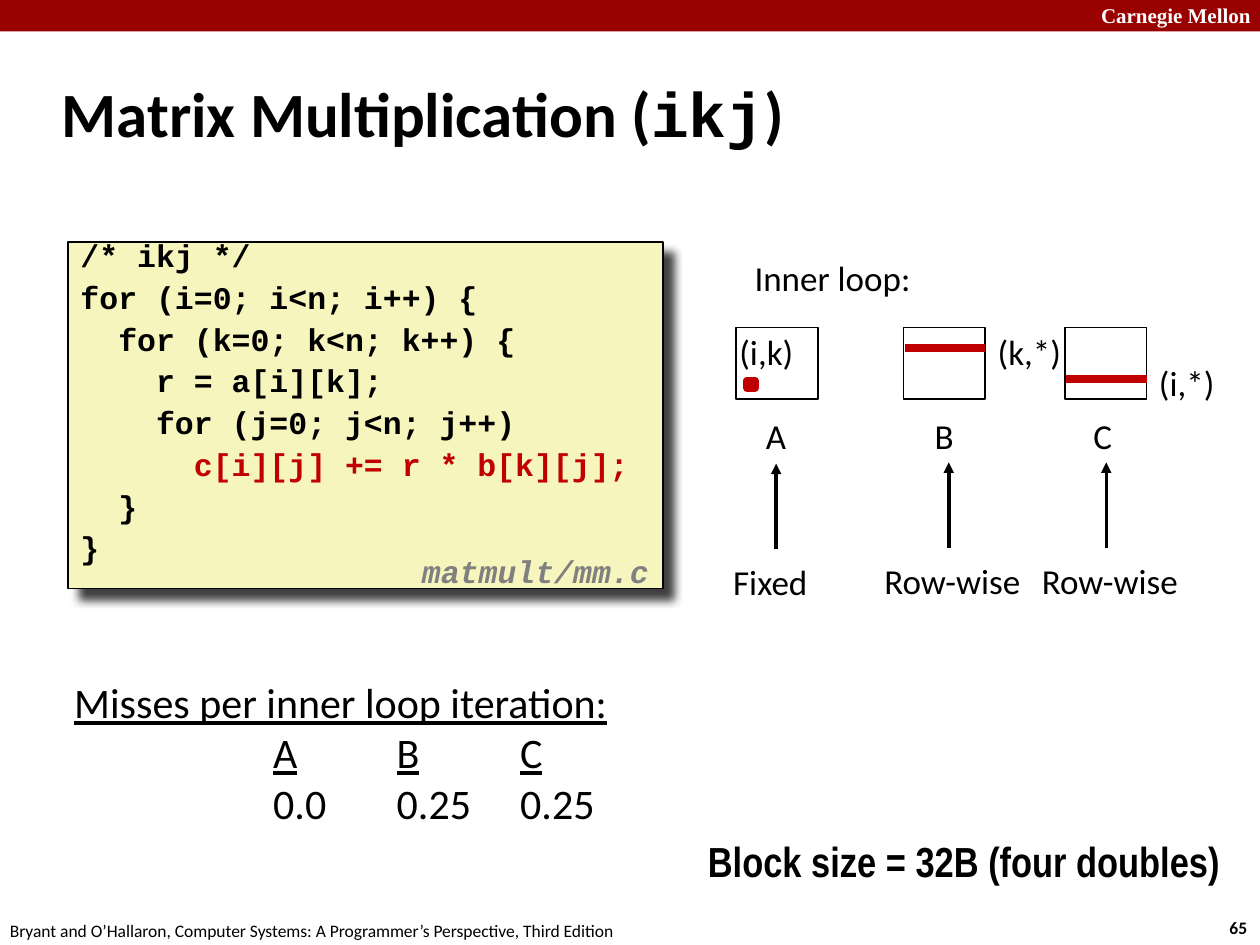
from lxml import etree
from pptx import Presentation
from pptx.dml.color import RGBColor
from pptx.enum.shapes import MSO_CONNECTOR, MSO_SHAPE
from pptx.enum.text import MSO_ANCHOR, MSO_AUTO_SIZE, PP_ALIGN
from pptx.oxml.ns import qn
from pptx.util import Inches, Pt

RECT = MSO_SHAPE.RECTANGLE
STRAIGHT = MSO_CONNECTOR.STRAIGHT
TOP, MIDDLE = MSO_ANCHOR.TOP, MSO_ANCHOR.MIDDLE
NO_FIT = MSO_AUTO_SIZE.NONE
LEFT = PP_ALIGN.LEFT

BLACK = RGBColor(0x00, 0x00, 0x00)
WHITE = RGBColor(0xFF, 0xFF, 0xFF)
BANNER = RGBColor(0x99, 0x00, 0x00)
RED = RGBColor(0xC0, 0x00, 0x00)
CREAM = RGBColor(0xF6, 0xF5, 0xBD)
GRAY = RGBColor(0x80, 0x80, 0x80)

BODY, CODE = "Calibri", "Courier New"

CODE_LINES = [
    "/* ikj */",
    "for (i=0; i<n; i++) {",
    "  for (k=0; k<n; k++) {",
    "    r = a[i][k];",
    "    for (j=0; j<n; j++)",
    "      c[i][j] += r * b[k][j];",
    "  }",
    "}",
]
INNER_STATEMENT = 5


class SlideBuilder:
    def __init__(self, slide):
        self.slide = slide

    def style(self, p, size, font=BODY, color=BLACK, bold=False, italic=False):
        p.alignment = LEFT
        f = p.font
        f.name, f.size, f.bold, f.italic = font, Pt(size), bold, italic
        f.color.rgb = color

    def title(self, x, y, w, h, parts):
        sp = self.slide.shapes.title
        sp.left, sp.top, sp.width, sp.height = map(Inches, (x, y, w, h))
        tf = sp.text_frame
        tf.vertical_anchor, tf.auto_size = MIDDLE, NO_FIT
        p = tf.paragraphs[0]
        self.style(p, 36, bold=True)
        for text, font in parts:
            r = p.add_run()
            r.text, r.font.name = text, font

    def rect(self, x, y, w, h, fill, line=None, weight=1):
        sp = self.slide.shapes.add_shape(RECT, *map(Inches, (x, y, w, h)))
        sp.shadow.inherit = False
        sp.fill.solid()
        sp.fill.fore_color.rgb = fill
        if line is None:
            sp.line.fill.background()
        else:
            sp.line.color.rgb = line
            sp.line.width = Pt(weight)
        return sp

    def drop_shadow(self, sp):
        effects = sp._element.spPr.find(qn("a:effectLst"))
        shadow = etree.SubElement(
            effects, qn("a:outerShdw"), blurRad=str(Pt(5)), dist=str(Pt(8.5)),
            dir="2700000", algn="tl", rotWithShape="0")
        color = etree.SubElement(shadow, qn("a:srgbClr"), val=str(BLACK))
        etree.SubElement(color, qn("a:alpha"), val="75000")

    def text(self, x, y, w, h, text, size=20, wrap=False, **style):
        sp = self.slide.shapes.add_textbox(*map(Inches, (x, y, w, h)))
        tf = sp.text_frame
        tf.word_wrap = wrap
        p = tf.paragraphs[0]
        p.text = text
        self.style(p, size, **style)
        return tf

    def code(self, x, y, w, h, lines, highlight):
        sp = self.rect(x, y, w, h, CREAM, BLACK)
        self.drop_shadow(sp)
        tf = sp.text_frame
        tf.word_wrap, tf.vertical_anchor = True, TOP
        for i, line in enumerate(lines):
            p = tf.add_paragraph() if i else tf.paragraphs[0]
            p.text = line
            p.line_spacing = 0.65
            if i:
                p.space_before = Pt(9.8)
            self.style(p, 18, CODE, RED if i == highlight else BLACK, bold=True)

    def line(self, x1, y1, x2, y2, color, weight, arrow=False):
        c = self.slide.shapes.add_connector(
            STRAIGHT, *map(Inches, (x1, y1, x2, y2)))
        c.line.color.rgb = color
        c.line.width = Pt(weight)
        if arrow:
            etree.SubElement(c.line._get_or_add_ln(), qn("a:tailEnd"), type="triangle")
        etree.SubElement(c._element.spPr, qn("a:effectLst"))

    def tabbed_row(self, tf, cells, stops, underline):
        p = tf.add_paragraph()
        tabs = etree.SubElement(p._p.get_or_add_pPr(), qn("a:tabLst"))
        for stop in stops:
            etree.SubElement(tabs, qn("a:tab"), pos=str(Inches(stop)), algn="l")
        self.style(p, 24)
        for cell in cells:
            p.add_run().text = "\t"
            r = p.add_run()
            r.text, r.font.underline = cell, underline


def main():
    prs = Presentation()
    prs.slide_width, prs.slide_height = Inches(10), Inches(7.5)
    s = SlideBuilder(prs.slides.add_slide(prs.slide_layouts[5]))

    s.rect(0, 0, 10, 0.25, BANNER)
    s.text(8.64, -0.03, 1.43, 0.3, "Carnegie Mellon", 12, wrap=True,
           font="Times New Roman", color=WHITE, bold=True)
    s.text(9.66, 7.23, 0.37, 0.27, "65", 10, bold=True)
    s.text(-0.02, 7.25, 5.08, 0.27,
           "Bryant and O’Hallaron, Computer Systems: "
           "A Programmer’s Perspective, Third Edition", 10)
    s.title(0.39, 0.48, 8.3, 0.83,
            [("Matrix Multiplication (", BODY), ("ikj", CODE), (")", BODY)])

    s.code(0.54, 1.92, 4.72, 2.75, CODE_LINES, INNER_STATEMENT)
    s.text(3.25, 4.33, 2.08, 0.39, "matmult/mm.c", 18,
           font=CODE, color=GRAY, bold=True, italic=True)

    s.text(5.89, 1.99, 1.45, 0.43, "Inner loop:")
    matrices = [
        ("A", 5.84, 5.98, 0.37, 6.16, 3.68, "Fixed", 5.72, 0.79),
        ("B", 7.17, 7.32, 0.35, 7.53, 3.67, "Row-wise", 6.92, 1.29),
        ("C", 8.45, 8.58, 0.35, 8.78, 3.67, "Row-wise", 8.17, 1.29),
    ]
    for name, box_x, name_x, name_w, arrow_x, tip_y, access, access_x, access_w in matrices:
        s.rect(box_x, 2.6, 0.65, 0.57, WHITE, BLACK)
        s.text(name_x, 3.24, name_w, 0.43, name)
        s.line(arrow_x, tip_y + 0.68, arrow_x, tip_y, BLACK, 2, arrow=True)
        s.text(access_x, tip_y + 0.72, access_w, 0.43, access)

    s.rect(5.93, 3.02, 0.06, 0.06, BLACK, RED, 4.5)
    s.line(7.18, 2.76, 7.82, 2.76, RED, 4.5)
    s.line(8.46, 3.01, 9.1, 3.01, RED, 4.5)
    for x, y, w, index in [(5.77, 2.57, 0.63, "(i,k)"),
                           (7.82, 2.57, 0.71, "(k,*)"),
                           (9.1, 2.82, 0.64, "(i,*)")]:
        s.text(x, y, w, 0.43, index)

    misses = s.text(0.49, 5.32, 5.68, 1.34,
                    "Misses per inner loop iteration:", 24, wrap=True)
    misses.paragraphs[0].font.underline = True
    stops = [1.58 + 0.98 * i for i in range(3)]
    s.tabbed_row(misses, ["A", "B", "C"], stops, True)
    s.tabbed_row(misses, ["0.0", "0.25", "0.25"], stops, False)

    s.text(5.52, 6.58, 4.4, 0.5, "Block size = 32B (four doubles)", 24,
           wrap=True, font="Arial Narrow", bold=True)

    prs.save("out.pptx")


if __name__ == "__main__":
    main()
